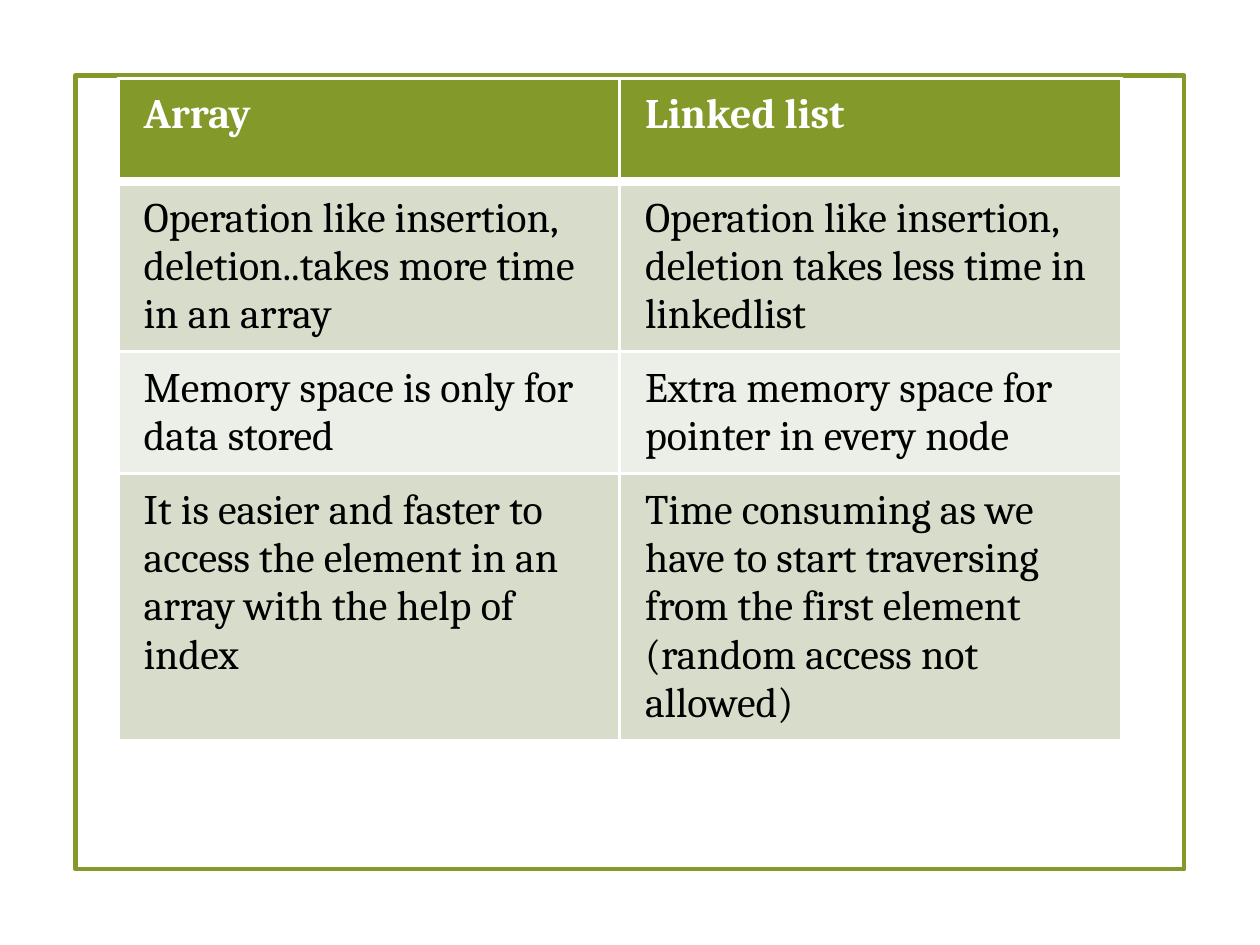
from dataclasses import dataclass

from lxml.etree import SubElement
from pptx import Presentation
from pptx.dml.color import RGBColor
from pptx.enum.shapes import MSO_SHAPE
from pptx.oxml.ns import qn
from pptx.util import Inches, Pt


@dataclass(frozen=True)
class Theme:
    font: str = "Cambria"
    size: float = 12
    green: str = "83992A"
    bands: tuple[str, str] = ("D8DDCB", "ECEFE7")
    white: str = "FFFFFF"
    black: str = "000000"
    frame: float = 1.25
    thin: float = 1
    thick: float = 3


@dataclass(frozen=True)
class Box:
    """A place given as shares of the slide's width and height."""
    left: float
    top: float
    width: float
    height: float

    def place(self, wide: int, high: int) -> tuple[int, int, int, int]:
        return (int(self.left * wide), int(self.top * high),
                int(self.width * wide), int(self.height * high))


@dataclass(frozen=True)
class Row:
    array: str
    linked: str


THEME = Theme()
FRAME = Box(0.06, 0.08, 0.88, 0.84)
GRID = Box(0.094, 0.083, 0.796, 0.437)
ROWS = [
    Row("Array", "Linked list"),
    Row("Operation like insertion, deletion..takes more time in an array",
        "Operation like insertion, deletion takes less time in linkedlist"),
    Row("Memory space is only for data stored",
        "Extra memory space for pointer in every node"),
    Row("It is easier and faster to access the element in an array "
        "with the help of index",
        "Time consuming as we have to start traversing from the first "
        "element (random access not allowed)"),
]


def rgb(code: str) -> RGBColor:
    return RGBColor.from_string(code)


def draw_frame(slide, spot: tuple[int, int, int, int]) -> None:
    frame = slide.shapes.add_shape(MSO_SHAPE.RECTANGLE, *spot)
    frame.shadow.inherit = False
    frame.fill.background()
    frame.line.color.rgb = rgb(THEME.green)
    frame.line.width = Pt(THEME.frame)


def add_edges(cell, top: float, bottom: float) -> None:
    props = cell._tc.get_or_add_tcPr()
    edges = {"L": THEME.thin, "R": THEME.thin, "T": top, "B": bottom}
    for side, width in edges.items():
        line = SubElement(props, qn(f"a:ln{side}"), w=str(Pt(width)))
        fill = SubElement(line, qn("a:solidFill"))
        SubElement(fill, qn("a:srgbClr"), val=THEME.white)


def fill_cell(cell, text: str, row: int) -> None:
    head = row == 0
    add_edges(cell, THEME.thick if row == 1 else THEME.thin,
              THEME.thick if head else THEME.thin)
    cell.fill.solid()
    cell.fill.fore_color.rgb = rgb(
        THEME.green if head else THEME.bands[(row - 1) % 2])
    run = cell.text_frame.paragraphs[0].add_run()
    run.text = text
    run.font.name = THEME.font
    run.font.size = Pt(THEME.size)
    run.font.bold = head
    run.font.color.rgb = rgb(THEME.white if head else THEME.black)


def draw_table(slide, spot: tuple[int, int, int, int]) -> None:
    table = slide.shapes.add_table(len(ROWS), 2, *spot).table
    for i, row in enumerate(ROWS):
        for j, text in enumerate((row.array, row.linked)):
            fill_cell(table.cell(i, j), text, i)


def main() -> None:
    deck = Presentation()
    deck.slide_width, deck.slide_height = Inches(5), Inches(3.75)
    size = deck.slide_width, deck.slide_height
    slide = deck.slides.add_slide(deck.slide_layouts[6])
    draw_frame(slide, FRAME.place(*size))
    draw_table(slide, GRID.place(*size))
    deck.save("out.pptx")


if __name__ == "__main__":
    main()
